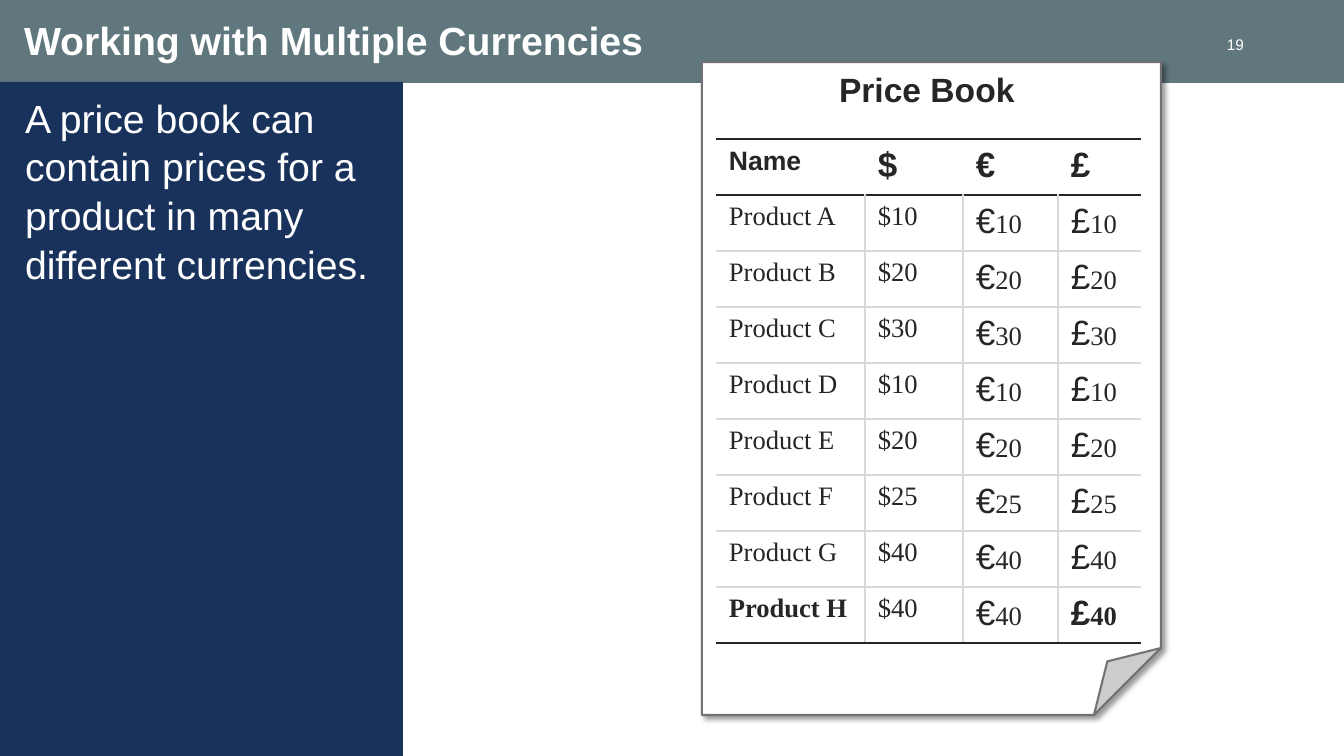
from dataclasses import dataclass
from typing import NamedTuple, Optional

from lxml.etree import SubElement
from pptx import Presentation
from pptx.dml.color import RGBColor
from pptx.enum.shapes import MSO_SHAPE
from pptx.enum.text import MSO_ANCHOR, MSO_AUTO_SIZE, PP_ALIGN
from pptx.oxml.ns import qn
from pptx.util import Emu, Pt


@dataclass(frozen=True)
class Theme:
    sans: str = "Arial"
    serif: str = "Times New Roman"
    white: str = "FFFFFF"
    ink: str = "262626"
    band: str = "60777E"
    panel: str = "19325C"
    rule: str = "D9D9D9"
    outline: str = "727272"
    shadow: str = "000000"
    title: int = 28
    book: int = 24
    symbol: int = 25
    cell: int = 19
    number: int = 11


class Box(NamedTuple):
    x: int
    y: int
    w: int
    h: int


class Product(NamedTuple):
    name: str
    price: int
    bold: bool


class Border(NamedTuple):
    color: str
    width: int


T = Theme()
GREY, DARK = Border(T.rule, 1), Border(T.ink, 2)
CURRENCIES = ("$", "€", "£")
COLUMNS = (149, 98, 95, 83)
ROW_HEIGHT = 56
PRICES = (10, 20, 30, 10, 20, 25, 40, 40)
PRODUCTS = [Product(f"Product {letter}", price, letter == "H")
            for letter, price in zip("ABCDEFGH", PRICES)]


def px(n: int) -> Emu:
    return Emu(round(n * 914400 / 100.8))


def style(font, size: int, color: str, name: str = T.sans, bold: bool = False) -> None:
    font.name, font.size, font.bold = name, Pt(size), bold
    font.color.rgb = RGBColor.from_string(color)


def add_box(s, kind: MSO_SHAPE, box: Box, fill: str, line: Optional[str] = None):
    sp = s.shapes.add_shape(kind, *map(px, box))
    sp.shadow.inherit = False
    sp.fill.solid()
    sp.fill.fore_color.rgb = RGBColor.from_string(fill)
    if line:
        sp.line.color.rgb = RGBColor.from_string(line)
        sp.line.width = Pt(1.5)
    else:
        sp.line.fill.background()
    return sp


def write(sp, text: str, size: int, color: str, align: PP_ALIGN, anchor: MSO_ANCHOR,
          margins: tuple[int, int, int, int], bold: bool = False):
    tf = sp.text_frame
    tf.word_wrap, tf.auto_size, tf.vertical_anchor = True, MSO_AUTO_SIZE.NONE, anchor
    tf.margin_left, tf.margin_top, tf.margin_right, tf.margin_bottom = map(px, margins)
    p = tf.paragraphs[0]
    p.text, p.alignment = text, align
    style(p.font, size, color, bold=bold)
    return p


def fold_corner(sp, share: float) -> None:
    guides = sp.element.spPr.find(qn("a:prstGeom")).get_or_add_avLst()
    SubElement(guides, qn("a:gd"), name="adj", fmla=f"val {round(share * 100000)}")


def add_shadow(sp) -> None:
    effects = sp.element.spPr.find(qn("a:effectLst"))
    outer = SubElement(effects, qn("a:outerShdw"), blurRad=str(Pt(4)), dist=str(Pt(3)),
                       dir=str(45 * 60000), algn="tl", rotWithShape="0")
    color = SubElement(outer, qn("a:srgbClr"), val=T.shadow)
    SubElement(color, qn("a:alpha"), val="40000")


def set_borders(cell, *edges: Optional[Border]) -> None:
    """Edges come in the order left, right, top, bottom."""
    tcPr = cell._tc.get_or_add_tcPr()
    for i, (side, edge) in enumerate(zip("LRTB", edges)):
        ln = SubElement(tcPr, qn(f"a:ln{side}"))
        if edge:
            ln.set("w", str(Pt(edge.width)))
            fill = SubElement(ln, qn("a:solidFill"))
            SubElement(fill, qn("a:srgbClr"), val=edge.color)
        else:
            SubElement(ln, qn("a:noFill"))
        tcPr.insert(i, ln)


def fill_text(cell, text: str, size: int, name: str, bold: bool = False) -> None:
    p = cell.text_frame.paragraphs[0]
    p.text = text
    style(p.font, size, T.ink, name, bold)


def fill_price(cell, currency: str, product: Product) -> None:
    p = cell.text_frame.paragraphs[0]
    bold = product.bold and currency == "£"
    for text, size, name in ((currency, T.symbol, T.sans),
                             (str(product.price), T.cell, T.serif)):
        r = p.add_run()
        r.text = text
        style(r.font, size, T.ink, name, bold)


def add_price_table(s, x: int, y: int) -> None:
    rows = len(PRODUCTS) + 1
    box = Box(x, y, sum(COLUMNS), rows * ROW_HEIGHT)
    tbl = s.shapes.add_table(rows, len(COLUMNS), *map(px, box)).table
    tbl.first_row = tbl.horz_banding = False
    for column, width in zip(tbl.columns, COLUMNS):
        column.width = px(width)
    for i, row in enumerate(tbl.rows):
        row.height = px(ROW_HEIGHT)
        for j, cell in enumerate(row.cells):
            cell.margin_left = cell.margin_right = px(13)
            cell.margin_top = cell.margin_bottom = px(7)
            cell.fill.solid()
            cell.fill.fore_color.rgb = RGBColor.from_string(T.white)
            set_borders(cell,
                        GREY if i and j else None,
                        GREY if i and j < len(COLUMNS) - 1 else None,
                        DARK if i < 2 else GREY,
                        DARK if i in (0, rows - 1) else GREY)
            if i == 0:
                size = T.symbol if j else T.cell
                fill_text(cell, ("Name", *CURRENCIES)[j], size, T.sans, True)
                continue
            product = PRODUCTS[i - 1]
            if j == 0:
                fill_text(cell, product.name, T.cell, T.serif, product.bold)
            elif j == 1:
                fill_text(cell, f"${product.price}", T.cell, T.serif)
            else:
                fill_price(cell, CURRENCIES[j - 1], product)


def main() -> None:
    prs = Presentation()
    prs.slide_width, prs.slide_height = px(1344), px(756)
    s = prs.slides.add_slide(prs.slide_layouts[5])

    # Header band, title and slide number
    title = s.shapes.title
    band = add_box(s, MSO_SHAPE.RECTANGLE, Box(0, 0, 1344, 83), T.band)
    title.element.addprevious(band.element)
    title.left, title.top, title.width, title.height = map(px, Box(14, 0, 1183, 83))
    p = write(title, "Working with Multiple Currencies", T.title, T.white,
              PP_ALIGN.LEFT, MSO_ANCHOR.MIDDLE, (10, 10, 10, 5), bold=True)
    p.line_spacing = 0.85
    number = s.shapes.add_textbox(*map(px, Box(1200, 33, 54, 22)))
    write(number, "19", T.number, T.white, PP_ALIGN.RIGHT, MSO_ANCHOR.MIDDLE, (10, 0, 10, 0))

    # Side panel
    panel = add_box(s, MSO_SHAPE.RECTANGLE, Box(0, 82, 403, 674), T.panel)
    p = write(panel, "A price book can contain prices for a product in many different currencies.",
              T.title, T.white, PP_ALIGN.LEFT, MSO_ANCHOR.TOP, (25, 10, 25, 10))
    p.line_spacing = 1.04

    # Price book page and its table
    page = add_box(s, MSO_SHAPE.FOLDED_CORNER, Box(702, 62, 459, 653), T.white, T.outline)
    fold_corner(page, 0.146)
    add_shadow(page)
    write(page, "Price Book ", T.book, T.ink, PP_ALIGN.CENTER, MSO_ANCHOR.TOP,
          (13, 7, 13, 7), bold=True)
    add_price_table(s, 716, 139)
    prs.save("out.pptx")


if __name__ == "__main__":
    main()
